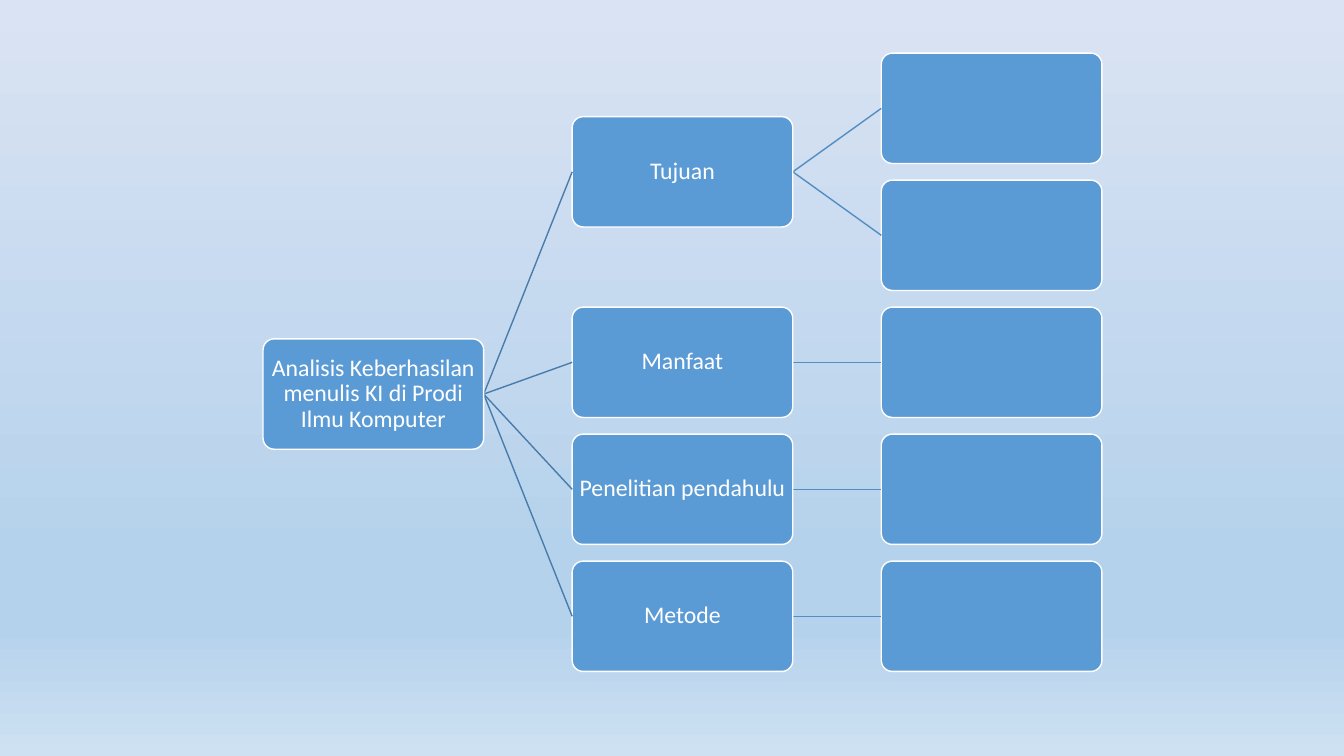
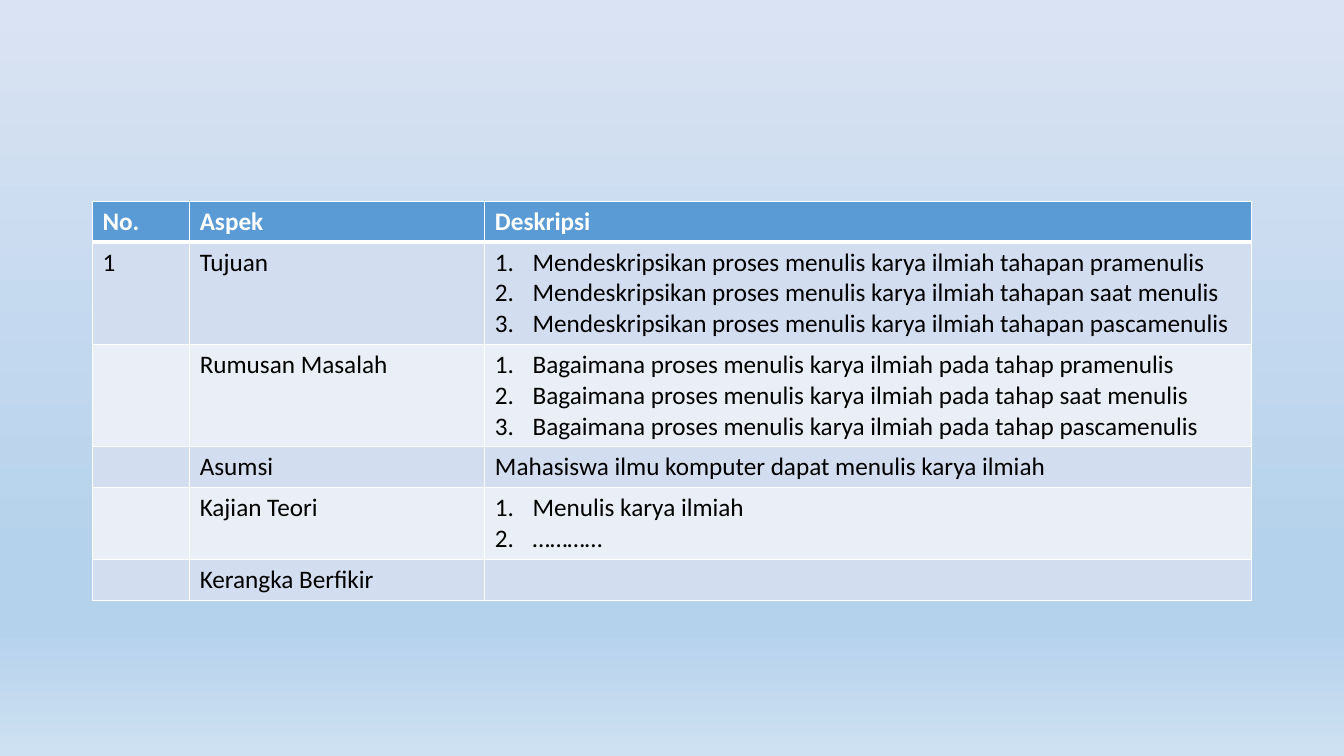
from lxml.etree import SubElement
from pptx import Presentation
from pptx.dml.color import RGBColor
from pptx.enum.shapes import MSO_CONNECTOR, MSO_SHAPE
from pptx.enum.text import MSO_ANCHOR, PP_ALIGN
from pptx.oxml.ns import qn
from pptx.util import Cm, Pt

FONT = "Calibri"
COLORS = {
    "main": "5B9BD5",
    "white": "FFFFFF",
    "black": "000000",
    "odd": "D2DEEF",
    "even": "EAEFF7",
}
LINKS = ["497CAB", "538DC1"]
STOPS = [(0, "DAE3F3"), (74, "B5D2EC"), (83, "B5D2EC"), (100, "CEE1F2")]

# Tree grid, in cm
BOX_W, BOX_H = 5.56, 2.78
LEFT, TOP = 6.63, 1.34
STEP_X, STEP_Y = 7.79, 3.2

TREE = ("Analisis Keberhasilan menulis KI di Prodi Ilmu Komputer", [
    ("Tujuan", [("", []), ("", [])]),
    ("Manfaat", [("", [])]),
    ("Penelitian pendahulu", [("", [])]),
    ("Metode", [("", [])]),
])

COLS = [2.45, 7.44, 19.32]
HEAD = ["No.", "Aspek", "Deskripsi"]
ROWS = [
    ["1", "Tujuan", [
        "Mendeskripsikan proses menulis karya ilmiah tahapan pramenulis",
        "Mendeskripsikan proses menulis karya ilmiah tahapan saat menulis",
        "Mendeskripsikan proses menulis karya ilmiah tahapan pascamenulis",
    ]],
    ["", "Rumusan Masalah", [
        "Bagaimana proses menulis karya ilmiah pada tahap pramenulis",
        "Bagaimana proses menulis karya ilmiah pada tahap saat menulis",
        "Bagaimana proses menulis karya ilmiah pada tahap pascamenulis",
    ]],
    ["", "Asumsi", "Mahasiswa ilmu komputer dapat menulis karya ilmiah"],
    ["", "Kajian Teori", ["Menulis karya ilmiah", "…………"]],
    ["", "Kerangka Berfikir", ""],
]


def rgb(name):
    return RGBColor.from_string(COLORS.get(name, name))


def paint(fill, color):
    fill.solid()
    fill.fore_color.rgb = rgb(color)


def stroke(line, color):
    paint(line.fill, color)
    line.width = Pt(1)


def write(frame, text, size=18, color="black", bold=False, align=PP_ALIGN.LEFT,
          space=None):
    """Fill a frame; a list of lines becomes a numbered list."""
    listed = isinstance(text, list)
    for i, line in enumerate(text if listed else [text]):
        para = frame.paragraphs[0] if i == 0 else frame.add_paragraph()
        para.alignment = align
        if space:
            para.line_spacing = space
        if listed:
            number(para)
        if line:
            run = para.add_run()
            run.text = line
            font = run.font
            font.name, font.size, font.bold = FONT, Pt(size), bold
            font.color.rgb = rgb(color)


def number(para):
    props = para._p.get_or_add_pPr()
    props.set("marL", str(Cm(0.95)))
    props.set("indent", str(-Cm(0.95)))
    SubElement(props, qn("a:buFont"), typeface="+mj-lt")
    SubElement(props, qn("a:buAutoNum"), type="arabicPeriod")


def backdrop(master):
    """Give all slides the same vertical gradient."""
    fill = master.background.fill
    fill.gradient()
    fill.gradient_angle = 270
    stops = master.element.find(".//" + qn("p:bgPr")).find(".//" + qn("a:gsLst"))
    for old in list(stops):
        stops.remove(old)
    for pos, color in STOPS:
        stop = SubElement(stops, qn("a:gs"), pos=str(pos * 1000))
        SubElement(stop, qn("a:srgbClr"), val=color)


def box(slide, text, x, y):
    shape = slide.shapes.add_shape(MSO_SHAPE.ROUNDED_RECTANGLE,
                                   Cm(x), Cm(y), Cm(BOX_W), Cm(BOX_H))
    shape.adjustments[0] = 0.1
    shape.shadow.inherit = False
    paint(shape.fill, "main")
    stroke(shape.line, "white")
    frame = shape.text_frame
    frame.word_wrap = True
    frame.vertical_anchor = MSO_ANCHOR.MIDDLE
    frame.margin_left = frame.margin_right = Cm(0.03)
    frame.margin_top = frame.margin_bottom = Cm(0.03)
    write(frame, text, size=17, color="white", align=PP_ALIGN.CENTER, space=0.9)


def link(slide, start, end, color):
    line = slide.shapes.add_connector(MSO_CONNECTOR.STRAIGHT,
                                      *map(Cm, start + end))
    stroke(line.line, color)
    SubElement(line._element.spPr, qn("a:effectLst"))


def branch(slide, node, depth=0, row=0):
    """Draw a node centred on its children; return its top and the next row."""
    text, kids = node
    x = LEFT + depth * STEP_X
    tops = []
    for kid in kids:
        top, row = branch(slide, kid, depth + 1, row)
        tops.append(top)
    if kids:
        y = (tops[0] + tops[-1]) / 2
    else:
        y = TOP + row * STEP_Y
        row += 1
    for top in tops:
        link(slide, (x + BOX_W, y + BOX_H / 2),
             (x + STEP_X, top + BOX_H / 2), LINKS[depth])
    box(slide, text, x, y)
    return y, row


def border(cell, **widths):
    props = cell._tc.get_or_add_tcPr()
    for side in "LRTB":
        line = SubElement(props, qn("a:ln" + side),
                          w=str(Pt(widths.get(side, 1))))
        fill = SubElement(line, qn("a:solidFill"))
        SubElement(fill, qn("a:srgbClr"), val=COLORS["white"])


def grid(slide):
    data = [HEAD] + ROWS
    high = 1.03
    table = slide.shapes.add_table(
        len(data), len(COLS), Cm(2.33), Cm(5.07),
        Cm(sum(COLS)), Cm(high * len(data))).table
    for col, width in zip(table.columns, COLS):
        col.width = Cm(width)
    for r, texts in enumerate(data):
        table.rows[r].height = Cm(high)
        for c, text in enumerate(texts):
            cell = table.cell(r, c)
            if r == 0:
                border(cell, B=3)
                paint(cell.fill, "main")
                write(cell.text_frame, text, color="white", bold=True)
            else:
                border(cell, T=3 if r == 1 else 1)
                paint(cell.fill, "odd" if r % 2 else "even")
                write(cell.text_frame, text)


def main():
    prs = Presentation()
    prs.slide_width, prs.slide_height = Cm(33.87), Cm(19.05)
    backdrop(prs.slide_master)
    blank = prs.slide_layouts[6]
    branch(prs.slides.add_slide(blank), TREE)
    grid(prs.slides.add_slide(blank))
    prs.save("out.pptx")


if __name__ == "__main__":
    main()
